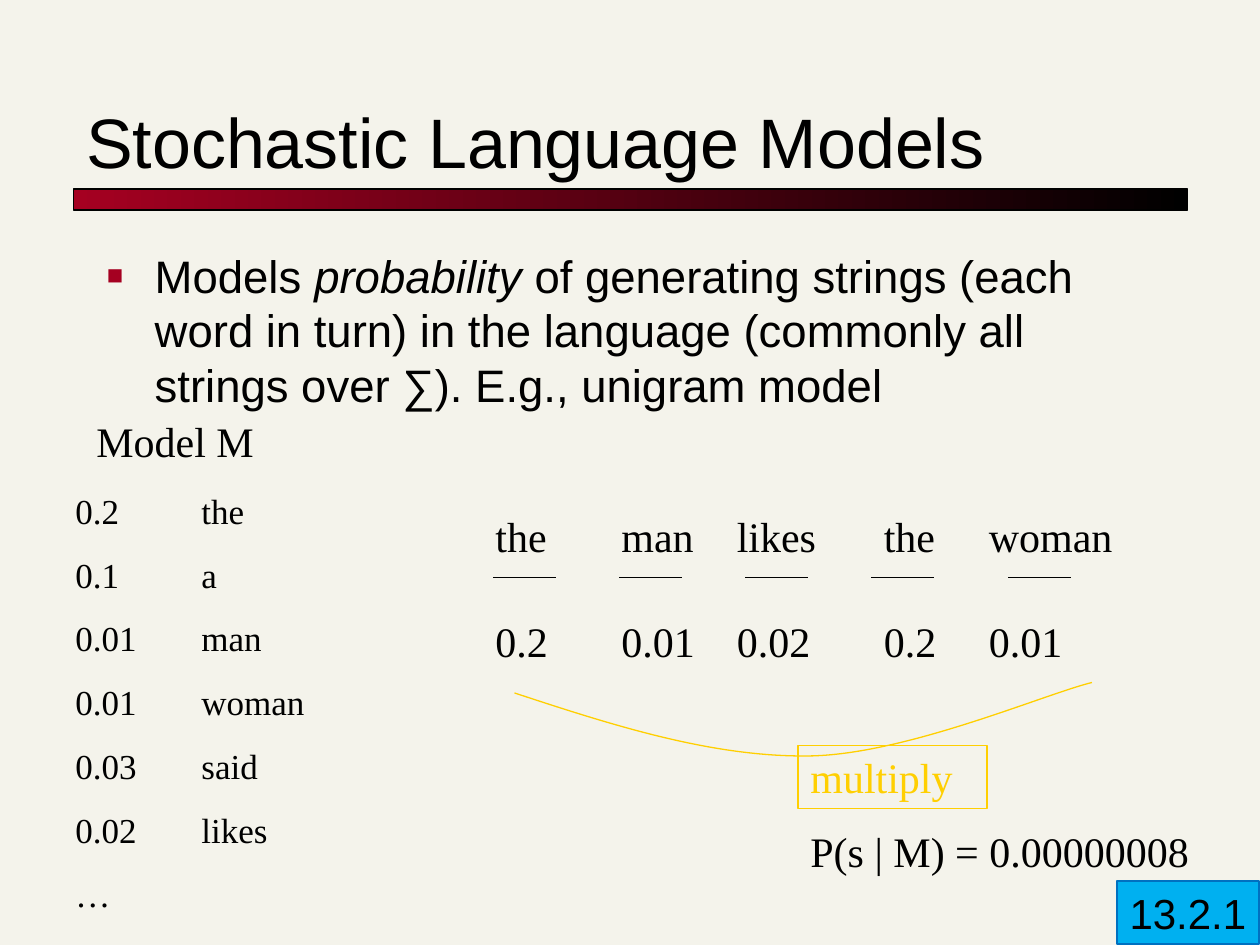
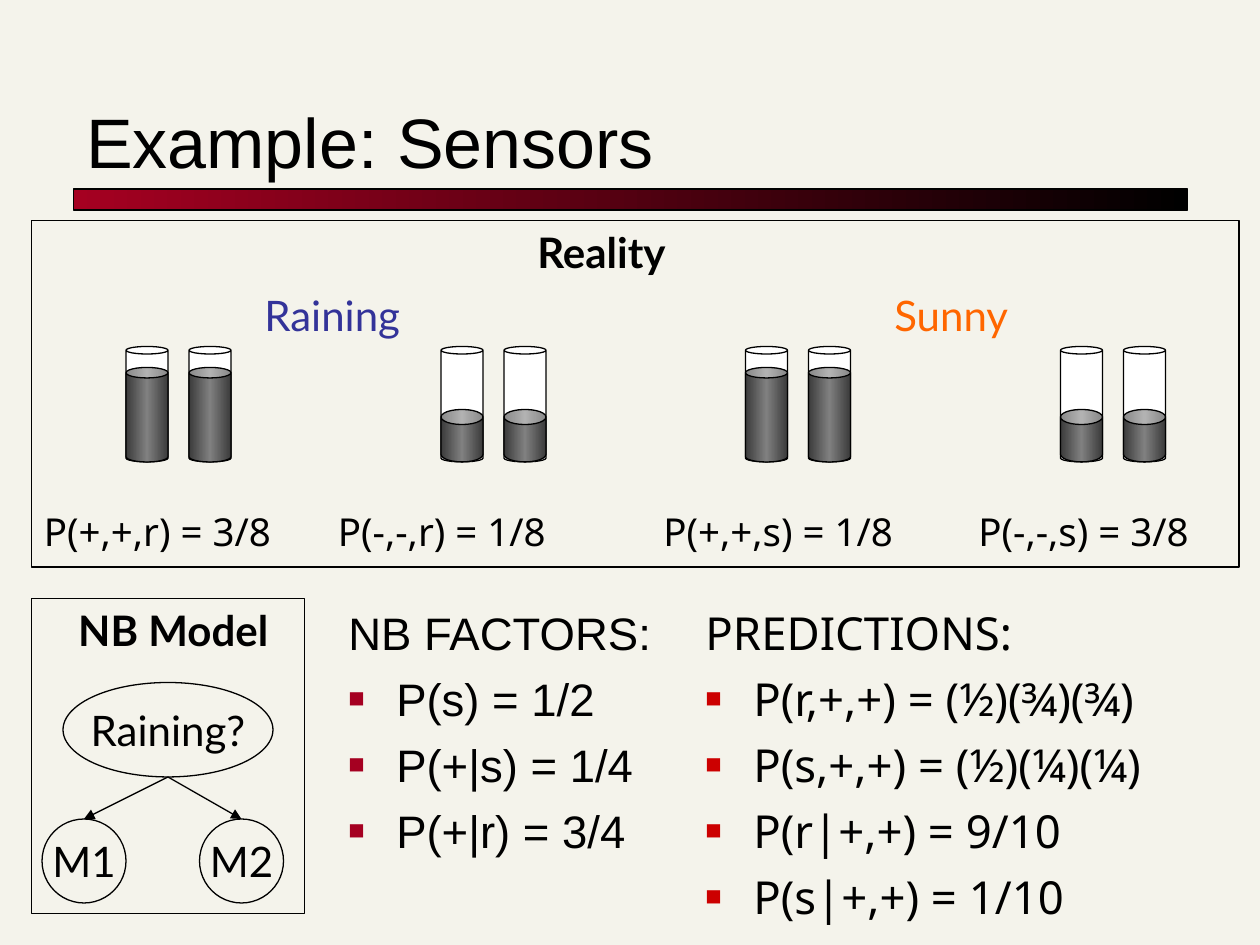
from dataclasses import dataclass

from lxml.etree import SubElement
from pptx import Presentation
from pptx.dml.color import RGBColor
from pptx.enum.shapes import MSO_CONNECTOR, MSO_SHAPE
from pptx.enum.text import MSO_ANCHOR, PP_ALIGN
from pptx.oxml.ns import qn
from pptx.util import Inches, Pt

# The slide is a grid of 120 columns by 90 rows of square cells
COLUMNS, ROWS = 120, 90
SLIDE_WIDTH, SLIDE_HEIGHT = Inches(10), Inches(7.5)
TITLE_ONLY = 5


@dataclass(frozen=True)
class Theme:
    paper: str = "F4F3EB"
    ink: str = "000000"
    crimson: str = "A50021"
    red: str = "CC0000"
    gold: str = "FFCF01"
    rain: str = "333399"
    sun: str = "FF6600"
    badge: str = "00B0F0"
    badge_edge: str = "0070C0"
    glass: str = "FFFFFF"
    liquid: tuple = ("3B3B3B", "808080", "3B3B3B")
    sans: str = "Arial"
    serif: str = "Times New Roman"
    label: str = "Lato"
    formula: str = "Noto Sans"
    title_size: int = 40
    body_size: int = 26
    label_size: int = 24
    formula_size: int = 22
    list_size: int = 20
    leading: float = 1.2
    hairline: float = 0.75


THEME = Theme()


def x(column):
    return round(SLIDE_WIDTH * column / COLUMNS)


def y(row):
    return round(SLIDE_HEIGHT * row / ROWS)


def cells(column, row, width, height):
    return x(column), y(row), x(width), y(height)


# ---- Text ----

def add_bullet(paragraph, color):
    properties = paragraph._p.get_or_add_pPr()
    properties.set("marL", str(Inches(0.38)))
    properties.set("indent", str(-Inches(0.38)))
    bullet_color = SubElement(properties, qn("a:buClr"))
    SubElement(bullet_color, qn("a:srgbClr"), val=color)
    SubElement(properties, qn("a:buSzPct"), val="60000")
    SubElement(properties, qn("a:buFont"), typeface=THEME.sans)
    SubElement(properties, qn("a:buChar"), char="■")


def add_tab_stop(paragraph, column):
    stops = SubElement(paragraph._p.get_or_add_pPr(), qn("a:tabLst"))
    SubElement(stops, qn("a:tab"), pos=str(x(column)), algn="l")


def write(holder, *paragraphs, font=THEME.label, size=THEME.label_size,
          color=THEME.ink, bold=False, align=PP_ALIGN.LEFT,
          anchor=MSO_ANCHOR.TOP, wrap=True, gap=0, bullet=None, headings=0,
          tab=None):
    """Fill a shape with text; in a tuple of runs every second one is italic."""
    frame = holder.text_frame
    frame.word_wrap = wrap
    frame.vertical_anchor = anchor
    for number, content in enumerate(paragraphs):
        paragraph = frame.add_paragraph() if number else frame.paragraphs[0]
        paragraph.alignment = align
        paragraph.line_spacing = Pt(size * THEME.leading)
        paragraph.space_before = Pt(gap)
        if bullet and number >= headings:
            add_bullet(paragraph, bullet)
        if tab:
            add_tab_stop(paragraph, tab)
        runs = (content,) if isinstance(content, str) else content
        for position, words in enumerate(runs):
            run = paragraph.add_run()
            run.text = words
            run.font.name = font
            run.font.size = Pt(size)
            run.font.bold = bold
            run.font.italic = position % 2 == 1
            run.font.color.rgb = RGBColor.from_string(color)


def add_text(slide, area, *paragraphs, **style):
    write(slide.shapes.add_textbox(*cells(*area)), *paragraphs, **style)


# ---- Shapes and lines ----

def set_line(item, color=THEME.ink):
    item.line.color.rgb = RGBColor.from_string(color)
    item.line.width = Pt(THEME.hairline)


def set_gradient(shape, colors):
    shape.fill.gradient()
    shape.fill.gradient_angle = 0
    stops = shape._element.spPr.find(qn("a:gradFill")).find(qn("a:gsLst"))
    stops.clear()
    for number, color in enumerate(colors):
        position = round(100000 * number / (len(colors) - 1))
        stop = SubElement(stops, qn("a:gs"), pos=str(position))
        SubElement(stop, qn("a:srgbClr"), val=color)


def add_figure(slide, kind, area, fill=None, line=THEME.ink):
    figure = slide.shapes.add_shape(kind, *cells(*area))
    figure.shadow.inherit = False
    set_line(figure, line)
    if fill is None:
        figure.fill.background()
    elif isinstance(fill, tuple):
        set_gradient(figure, fill)
    else:
        figure.fill.solid()
        figure.fill.fore_color.rgb = RGBColor.from_string(fill)
    return figure


def add_line(slide, start, end, arrow=False):
    line = slide.shapes.add_connector(
        MSO_CONNECTOR.STRAIGHT, x(start[0]), y(start[1]), x(end[0]), y(end[1]))
    set_line(line)
    properties = line._element.spPr
    if arrow:
        SubElement(properties.find(qn("a:ln")), qn("a:tailEnd"), type="triangle")
    SubElement(properties, qn("a:effectLst"))
    return line


def add_curve(slide, start, *points, color):
    """Draw Bézier segments; each takes two handles and an end point."""
    builder = slide.shapes.build_freeform(x(start[0]), y(start[1]))
    builder.add_line_segments([(x(c), y(r)) for c, r in points], close=False)
    curve = builder.convert_to_shape()
    curve.shadow.inherit = False
    curve.fill.background()
    set_line(curve, color)
    outline = next(curve._element.iter(qn("a:path")))
    steps = outline.findall(qn("a:lnTo"))
    for first in range(0, len(steps), 3):
        segment = SubElement(outline, qn("a:cubicBezTo"))
        for step in steps[first:first + 3]:
            segment.append(step[0])
            outline.remove(step)


def add_node(slide, area, name):
    node = add_figure(slide, MSO_SHAPE.OVAL, area)
    write(node, name, align=PP_ALIGN.CENTER, anchor=MSO_ANCHOR.MIDDLE, wrap=False)
    return node


def add_sensor_pair(slide, column, level, bend):
    for left in (column, column + 6):
        tube = add_figure(slide, MSO_SHAPE.CAN, (left, 33, 4, 11), THEME.glass)
        tube.adjustments[0] = 0.18
        liquid = add_figure(slide, MSO_SHAPE.CAN, (left, 44 - level, 4, level),
                            THEME.liquid)
        liquid.adjustments[0] = bend


# ---- Slides ----

def start_slide(deck, title):
    slide = deck.slides.add_slide(deck.slide_layouts[TITLE_ONLY])
    heading = slide.shapes.title
    heading.left, heading.top, heading.width, heading.height = cells(7, 5, 106, 13)
    write(heading, title, font=THEME.sans, size=THEME.title_size,
          anchor=MSO_ANCHOR.BOTTOM)
    add_figure(slide, MSO_SHAPE.RECTANGLE, (7, 18, 106.1, 2),
               (THEME.crimson, THEME.ink))
    return slide


def build_language_models(deck):
    slide = start_slide(deck, "Stochastic Language Models")
    add_text(slide, (9, 23, 102, 18),
             ("Models ", "probability", " of generating strings (each word in turn) "
              "in the language (commonly all strings over ∑). E.g., unigram model"),
             font=THEME.sans, size=THEME.body_size, bullet=THEME.crimson)

    # Word probabilities of the model
    add_text(slide, (8, 39, 18, 6), "Model M", font=THEME.serif)
    add_text(slide, (6, 46, 32, 42), "0.2\tthe", "0.1\ta", "0.01\tman",
             "0.01\twoman", "0.03\tsaid", "0.02\tlikes", "…",
             font=THEME.serif, size=THEME.list_size, gap=12.5, tab=12)

    # Sentence with the probability of each word
    sentence = [("the", "0.2", 46, 47), ("man", "0.01", 58, 59),
                ("likes", "0.02", 69, 71), ("the", "0.2", 83, 83),
                ("woman", "0.01", 93, 96)]
    for word, probability, column, rule in sentence:
        add_text(slide, (column, 48, 18, 6), word, font=THEME.serif)
        add_line(slide, (rule, 55), (rule + 6, 55))
        add_text(slide, (column, 58, 18, 6), probability, font=THEME.serif)

    # Product of the probabilities
    add_curve(slide, (49, 66), (58.4, 69.1), (67.8, 72.1), (77, 72),
              (86.2, 71.9), (99.5, 66.1), (104, 65), color=THEME.gold)
    product = add_figure(slide, MSO_SHAPE.RECTANGLE, (76, 71, 18, 6),
                         line=THEME.gold)
    write(product, "multiply", font=THEME.serif, color=THEME.gold)
    add_text(slide, (76, 78, 40, 6), "P(s | M) = 0.00000008", font=THEME.serif)

    # Section badge
    badge = add_figure(slide, MSO_SHAPE.RECTANGLE, (106.4, 83.9, 13.5, 6),
                       THEME.badge, THEME.badge_edge)
    write(badge, "13.2.1", font=THEME.sans, wrap=False)


def build_sensors(deck):
    slide = start_slide(deck, "Example: Sensors")

    # Reality: sensor readings by weather
    add_figure(slide, MSO_SHAPE.RECTANGLE, (3, 21, 115, 33))
    add_text(slide, (50, 21, 17, 6), "Reality", bold=True)
    add_text(slide, (24, 27, 17, 6), "Raining", color=THEME.rain)
    add_text(slide, (84, 27, 17, 6), "Sunny", color=THEME.sun)
    full, low = (9, 0.25), (5, 0.36)
    readings = [(12, full, 3, "P(+,+,r) = 3/8"), (42, low, 31, "P(-,-,r) = 1/8"),
                (71, full, 62, "P(+,+,s) = 1/8"), (101, low, 92, "P(-,-,s) = 3/8")]
    for column, (level, bend), label_column, probability in readings:
        add_sensor_pair(slide, column, level, bend)
        add_text(slide, (label_column, 47.8, 27, 5.6), probability,
                 font=THEME.formula, size=THEME.formula_size)

    # Naive Bayes model
    add_figure(slide, MSO_SHAPE.RECTANGLE, (3, 57, 26, 30))
    add_text(slide, (4, 57, 25, 6), "NB Model", bold=True, align=PP_ALIGN.CENTER)
    add_node(slide, (6, 65, 20, 9), "Raining?")
    for column, name in ((4, "M1"), (19, "M2")):
        sensor = add_node(slide, (column, 78, 8, 8), name)
        arrow = add_line(slide, (16, 74), (column + 4, 78), arrow=True)
        arrow.end_connect(sensor, 0)

    # Factors and predictions
    add_text(slide, (32, 57, 33, 31), "NB FACTORS:", "P(s) = 1/2",
             "P(+|s) = 1/4", "P(+|r) = 3/4", font=THEME.sans,
             size=THEME.body_size, gap=6.5, bullet=THEME.crimson, headings=1)
    add_text(slide, (66, 57, 52, 31), "PREDICTIONS:", "P(r,+,+) = (½)(¾)(¾)",
             "P(s,+,+) = (½)(¼)(¼)", "P(r|+,+) = 9/10", "P(s|+,+) = 1/10",
             font=THEME.formula, size=THEME.body_size, gap=6.5,
             bullet=THEME.red, headings=1)


def main():
    deck = Presentation()
    deck.slide_width, deck.slide_height = SLIDE_WIDTH, SLIDE_HEIGHT
    paper = deck.slide_master.background.fill
    paper.solid()
    paper.fore_color.rgb = RGBColor.from_string(THEME.paper)
    build_language_models(deck)
    build_sensors(deck)
    deck.save("out.pptx")


if __name__ == "__main__":
    main()
